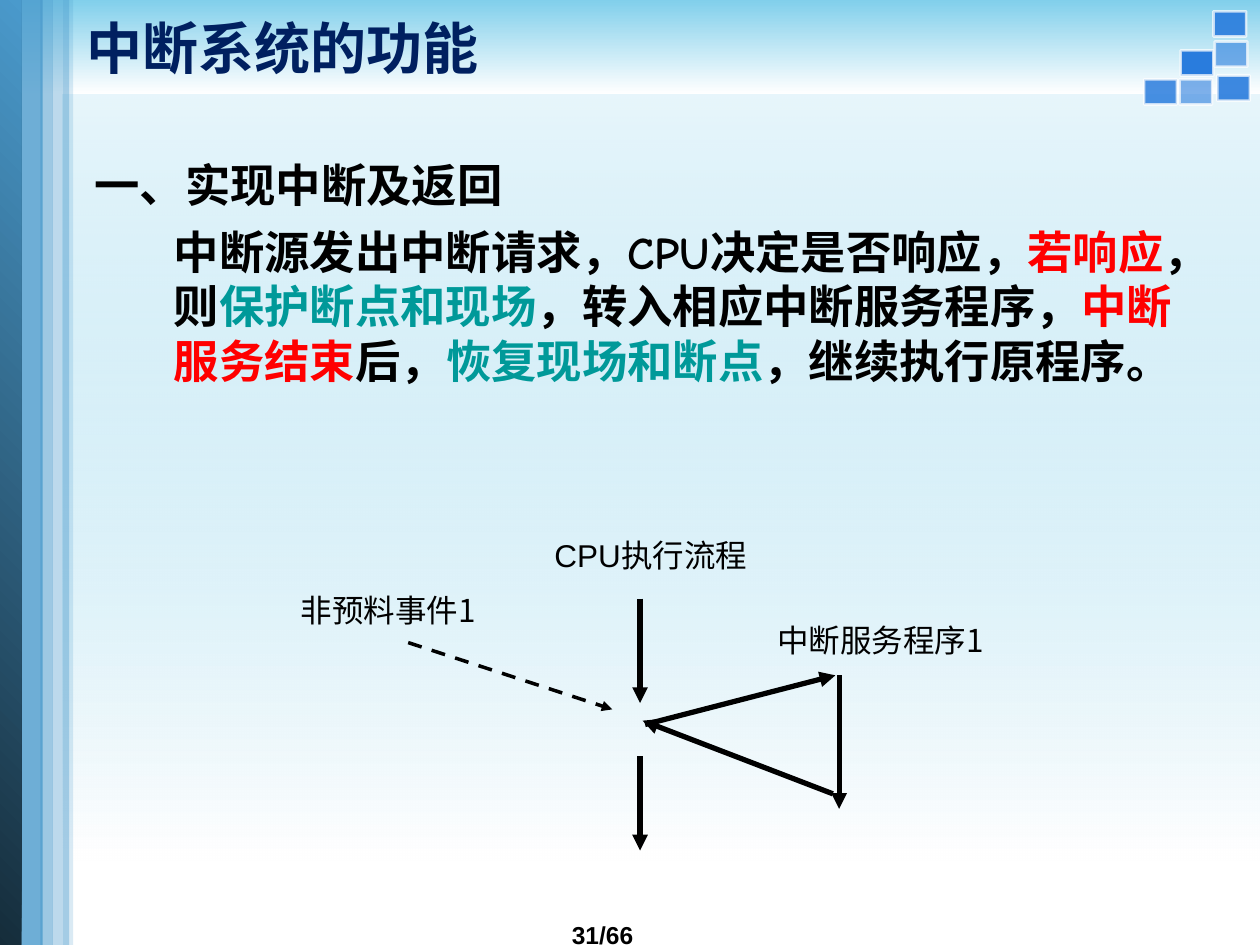
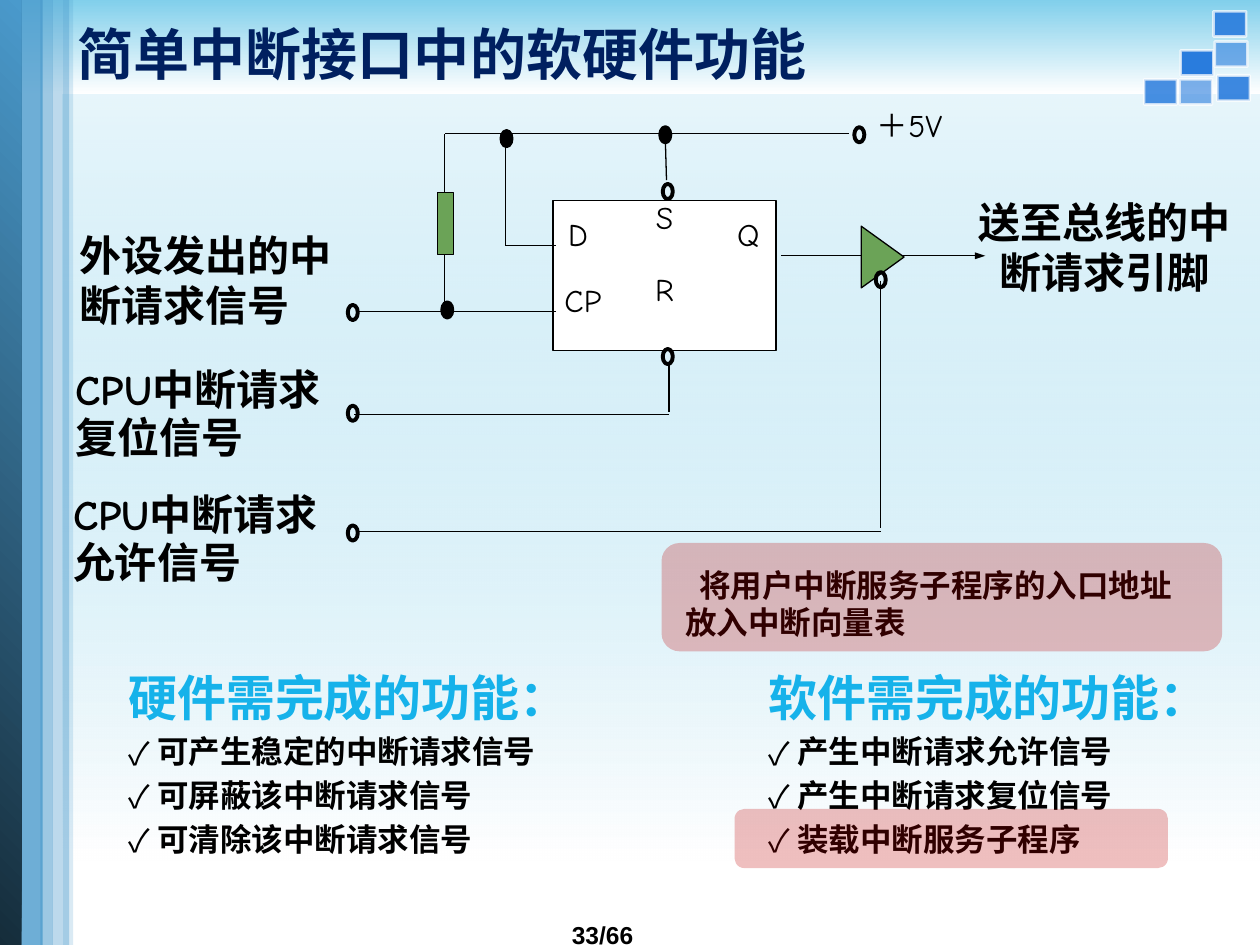
from dataclasses import dataclass

from lxml import etree
from pptx import Presentation
from pptx.dml.color import RGBColor
from pptx.enum.dml import MSO_LINE
from pptx.enum.shapes import MSO_CONNECTOR, MSO_SHAPE
from pptx.enum.text import MSO_ANCHOR, PP_ALIGN
from pptx.oxml.ns import qn
from pptx.util import Inches, Pt

RECTANGLE = MSO_SHAPE.RECTANGLE
ROUNDED = MSO_SHAPE.ROUNDED_RECTANGLE
CIRCLE = MSO_SHAPE.FLOWCHART_CONNECTOR
EXTRACT = MSO_SHAPE.FLOWCHART_EXTRACT
STRAIGHT = MSO_CONNECTOR.STRAIGHT
DASH = MSO_LINE.DASH
LEFT, CENTER = PP_ALIGN.LEFT, PP_ALIGN.CENTER
TOP, MIDDLE = MSO_ANCHOR.TOP, MSO_ANCHOR.MIDDLE

COLORS = {
    "black": "000000",
    "white": "FFFFFF",
    "sky": "81CFEB",
    "tile": "297CDD",
    "band": "4A9ACC",
    "band_dark": "152C3A",
    "title": "002060",
    "red": "FF0000",
    "teal": "009999",
    "heading": "16B2EA",
    "green": "6BA357",
    "highlight": "C00000",
}
ARIAL, CALIBRI, COMIC, NOTO = "Arial", "Calibri", "Comic Neue", "Noto Sans CJK SC"
PAGE_TOTAL = 66


@dataclass(frozen=True)
class Frame:
    left: float
    top: float
    width: float
    height: float

    def lengths(self) -> tuple:
        return tuple(Inches(value) for value in (self.left, self.top, self.width, self.height))


@dataclass(frozen=True)
class Look:
    fill: str = ""
    alpha: int = 100
    line: str = ""
    weight: float = 0.75
    line_alpha: int = 100
    gradient: tuple = ()
    angle: int = 270
    rotation: int = 0


@dataclass(frozen=True)
class Span:
    text: str
    color: str = "black"


@dataclass(frozen=True)
class Para:
    spans: tuple
    size: float = 18
    font: str = COMIC
    bold: bool = False
    align: PP_ALIGN = LEFT
    spacing: float = 1.0
    before: float = 0
    margin: float = 0
    indent: float = 0
    bullet: str = ""


@dataclass(frozen=True)
class Wire:
    start: tuple
    end: tuple
    weight: float = 0.75
    arrow_width: str = ""
    dashed: bool = False


@dataclass(frozen=True)
class Label:
    frame: Frame
    para: Para


PAD, NO_PAD = (0.1, 0.05), (0, 0)
SOLID_DOT = Look(fill="black", line="black", weight=2.25)
OPEN_DOT = Look(line="black", weight=2.25)
GREEN_PART = Look(fill="green", line="black")
HIGHLIGHT = Look(fill="highlight", alpha=25)

BANDS = (
    (Frame(0.11, 0, 0.23, 7.5), Look(fill="band", alpha=80)),
    (Frame(-0.01, 0, 0.18, 7.53), Look(gradient=(("band_dark", 100), ("band", 100)), angle=45)),
    (Frame(0.5, 0, 0.08, 7.52), Look(fill="band", alpha=20)),
    (Frame(0.32, 0, 0.1, 7.51), Look(fill="band", alpha=54)),
    (Frame(0.42, 0, 0.13, 7.52), Look(fill="band", alpha=37)),
)
TILES = ((9.69, 0.57, 90), (9.39, 0.6, 60), (9.11, 0.6, 85),
         (9.4, 0.37, 100), (9.67, 0.3, 60), (9.66, 0.06, 90))


def rgb(name: str) -> RGBColor:
    return RGBColor.from_string(COLORS[name])


def apply(target, values: dict) -> None:
    for name, value in values.items():
        setattr(target, name, value)


def set_alpha(shape, query: str, alphas: tuple) -> None:
    for color, alpha in zip(shape.element.xpath(f"./p:spPr/{query}//a:srgbClr"), alphas):
        if alpha < 100:
            etree.SubElement(color, qn("a:alpha"), val=str(alpha * 1000))


def draw_shape(page, kind: MSO_SHAPE, frame: Frame, look: Look):
    shape = page.shapes.add_shape(kind, *frame.lengths())
    shape.shadow.inherit = False
    shape.rotation = look.rotation
    if look.gradient:
        shape.fill.gradient()
        shape.fill.gradient_angle = look.angle
        for stop, (name, _) in zip(shape.fill.gradient_stops, look.gradient):
            stop.color.rgb = rgb(name)
        set_alpha(shape, "a:gradFill", tuple(alpha for _, alpha in look.gradient))
    elif look.fill:
        shape.fill.solid()
        shape.fill.fore_color.rgb = rgb(look.fill)
        set_alpha(shape, "a:solidFill", (look.alpha,))
    else:
        shape.fill.background()
    if look.line:
        shape.line.color.rgb = rgb(look.line)
        shape.line.width = Pt(look.weight)
        set_alpha(shape, "a:ln", (look.line_alpha,))
    else:
        shape.line.fill.background()
    return shape


def write_text(box, paras: tuple, pad: tuple = NO_PAD, anchor: MSO_ANCHOR = TOP) -> None:
    frame = box.text_frame
    side, edge = Inches(pad[0]), Inches(pad[1])
    apply(frame, {"word_wrap": True, "vertical_anchor": anchor, "margin_left": side,
                  "margin_right": side, "margin_top": edge, "margin_bottom": edge})
    for index, para in enumerate(paras):
        paragraph = frame.add_paragraph() if index else frame.paragraphs[0]
        properties = paragraph._p.get_or_add_pPr()
        properties.set("marL", str(Inches(para.margin)))
        properties.set("indent", str(Inches(para.indent)))
        if para.bullet:
            color = etree.SubElement(properties, qn("a:buClr"))
            etree.SubElement(color, qn("a:srgbClr"), val=COLORS["black"])
            etree.SubElement(properties, qn("a:buFont"), typeface=NOTO)
            etree.SubElement(properties, qn("a:buChar"), char=para.bullet)
        apply(paragraph, {"alignment": para.align, "line_spacing": para.spacing,
                          "space_before": Pt(para.before)})
        for span in para.spans:
            run = paragraph.add_run()
            run.text = span.text
            apply(run.font, {"size": Pt(para.size), "bold": para.bold, "name": para.font})
            run.font.color.rgb = rgb(span.color)
            latin = run.font._element.find(qn("a:latin"))
            latin.addnext(etree.Element(qn("a:ea"), typeface=para.font))


def draw_text(page, frame: Frame, *paras: Para, pad: tuple = NO_PAD,
              anchor: MSO_ANCHOR = TOP) -> None:
    write_text(page.shapes.add_textbox(*frame.lengths()), paras, pad, anchor)


def draw_labels(page, labels: tuple) -> None:
    for label in labels:
        draw_text(page, label.frame, label.para)


def draw_wires(page, wires: tuple) -> None:
    for wire in wires:
        points = (Inches(value) for value in wire.start + wire.end)
        connector = page.shapes.add_connector(STRAIGHT, *points)
        connector.line.color.rgb = rgb("black")
        connector.line.width = Pt(wire.weight)
        if wire.dashed:
            connector.line.dash_style = DASH
        if wire.arrow_width:
            etree.SubElement(connector.line._get_or_add_ln(), qn("a:tailEnd"),
                             type="triangle", w=wire.arrow_width)
        etree.SubElement(connector.element.spPr, qn("a:effectLst"))


def plain(text: str, **options) -> Para:
    return Para((Span(text),), **options)


def start_page(deck, title: str, title_frame: Frame, number: int):
    page = deck.slides.add_slide(deck.slide_layouts[6])
    draw_shape(page, RECTANGLE, Frame(0.5, 0.75, 9.5, 6.08),
               Look(gradient=(("sky", 19), ("white", 100))))
    draw_shape(page, RECTANGLE, Frame(0, 0, 10, 0.75),
               Look(gradient=(("sky", 100), ("white", 100))))
    for left, top, alpha in TILES:
        draw_shape(page, RECTANGLE, Frame(left, top, 0.2, 0.26),
                   Look("tile", alpha, "white", 1.5, 70, rotation=90))
    for frame, look in BANDS:
        draw_shape(page, RECTANGLE, frame, look)
    draw_text(page, Frame(4.44, 7.25, 1.41, 0.34),
              plain(f"{number}/{PAGE_TOTAL}", size=14, font=ARIAL, bold=True), pad=PAD)
    draw_text(page, title_frame,
              Para((Span(title, "title"),), size=32, font=CALIBRI, bold=True),
              pad=PAD, anchor=MIDDLE)
    return page


def build_interrupt_flow(deck) -> None:
    page = start_page(deck, "中断系统的功能", Frame(0.59, 0, 9.41, 0.75), 31)
    story = (
        Span("中断源发出中断请求，CPU决定是否响应，"), Span("若响应", "red"),
        Span("，则"), Span("保护断点和现场", "teal"),
        Span("，转入相应中断服务程序，"), Span("中断服务结束", "red"),
        Span("后，"), Span("恢复现场和断点", "teal"), Span("，继续执行原程序。"),
    )
    draw_text(page, Frame(0.75, 1.25, 8.6, 2.33),
              plain("一、实现中断及返回", size=25.9, bold=True, margin=0.63, indent=-0.63),
              Para(story, size=25.9, bold=True, before=7, margin=0.63))
    draw_labels(page, (
        Label(Frame(3.25, 4.25, 3.83, 0.65), plain("CPU执行流程", font=ARIAL, align=CENTER)),
        Label(Frame(6.17, 4.93, 2.91, 0.51), plain("中断服务程序1", font=NOTO)),
        Label(Frame(1.74, 4.69, 2.68, 0.53), plain("非预料事件1", font=NOTO, align=CENTER)),
    ))
    flow = (((5.08, 4.75), (5.08, 5.58)), ((5.12, 5.75), (6.63, 5.36)),
            ((6.66, 5.36), (6.66, 6.42)), ((6.61, 6.3), (5.1, 5.72)),
            ((5.08, 6), (5.08, 6.75)))
    draw_wires(page, tuple(Wire(start, end, 3, "med") for start, end in flow))
    draw_wires(page, (Wire((3.24, 5.1), (4.86, 5.63), 2, "med", True),))


def build_interface_circuit(deck) -> None:
    page = start_page(deck, "简单中断接口中的软硬件功能", Frame(0.52, 0.08, 9, 0.68), 33)
    flip_flop = draw_shape(page, RECTANGLE, Frame(4.39, 1.59, 1.77, 1.19),
                           Look(fill="white", line="black"))
    write_text(flip_flop, (plain("S", align=CENTER, spacing=0.96),
                           plain("R", align=CENTER, spacing=0.96, before=20.5)))
    wires = (((5.29, 1.43), (5.28, 1.09)), ((3.53, 1.06), (6.74, 1.06)),
             ((4.41, 1.95), (4.01, 1.95)), ((4.01, 1.95), (4.01, 1.06)),
             ((4.41, 2.47), (2.83, 2.47)), ((3.53, 2.47), (3.53, 1.06)),
             ((5.31, 2.89), (5.31, 3.27)), ((5.31, 3.29), (2.81, 3.29)),
             ((6.99, 2.23), (6.99, 4.19)), ((6.99, 4.22), (2.85, 4.22)))
    draw_wires(page, tuple(Wire(start, end) for start, end in wires))
    draw_wires(page, (Wire((6.2, 2.03), (7.82, 2.03), arrow_width="sm"),))
    draw_shape(page, RECTANGLE, Frame(3.47, 1.53, 0.13, 0.49), GREEN_PART)
    draw_shape(page, EXTRACT, Frame(6.76, 1.87, 0.49, 0.34),
               Look(fill="green", line="black", rotation=90))
    solid_dots = ((3.51, 2.4), (3.98, 1.04), (5.24, 1.01))
    open_dots = ((5.26, 1.46), (5.26, 2.77), (6.95, 2.16), (2.76, 2.42),
                 (2.76, 3.22), (6.78, 1.01), (2.76, 4.17))
    for places, look in ((solid_dots, SOLID_DOT), (open_dots, OPEN_DOT)):
        for left, top in places:
            draw_shape(page, CIRCLE, Frame(left, top, 0.08, 0.12), look)
    signal = {"size": 24, "bold": True}
    draw_labels(page, (
        Label(Frame(4.48, 2.23, 0.51, 0.47), plain("CP")),
        Label(Frame(4.51, 1.71, 0.22, 0.47), plain("D")),
        Label(Frame(5.85, 1.71, 0.2, 0.47), plain("Q")),
        Label(Frame(6.96, 0.84, 0.94, 0.47), plain("＋5V")),
        Label(Frame(0.63, 1.82, 2.04, 0.83), plain("外设发出的中断请求信号", **signal)),
        Label(Frame(0.6, 2.91, 2.09, 0.89),
              plain("CPU中断请求复位信号", spacing=0.96, **signal)),
        Label(Frame(0.58, 3.9, 2.16, 0.95),
              plain("CPU中断请求允许信号", spacing=0.96, **signal)),
        Label(Frame(7.66, 1.56, 2.21, 0.94),
              plain("送至总线的中断请求引脚", align=CENTER, **signal)),
    ))
    duties = (
        (0.92, "硬件需完成的功能：",
         ("可产生稳定的中断请求信号", "可屏蔽该中断请求信号", "可清除该中断请求信号")),
        (6, "软件需完成的功能：",
         ("产生中断请求允许信号", "产生中断请求复位信号", "装载中断服务子程序")),
    )
    for left, heading, items in duties:
        draw_text(page, Frame(left, 5.25, 3.9, 1.61),
                  Para((Span(heading, "heading"),), size=28, bold=True),
                  *(plain(item, bold=True, before=3.4, margin=0.23, indent=-0.23, bullet="✓")
                    for item in items), pad=PAD)
    draw_text(page, Frame(5.34, 4.44, 4.3, 0.7),
              plain("将用户中断服务子程序的入口地址放入中断向量表", bold=True, indent=0.11), pad=PAD)
    for frame in (Frame(5.83, 6.42, 3.44, 0.47), Frame(5.25, 4.31, 4.45, 0.86)):
        draw_shape(page, ROUNDED, frame, HIGHLIGHT)


def main() -> None:
    deck = Presentation()
    deck.slide_width, deck.slide_height = Inches(10), Inches(7.5)
    build_interrupt_flow(deck)
    build_interface_circuit(deck)
    deck.save("out.pptx")


if __name__ == "__main__":
    main()
